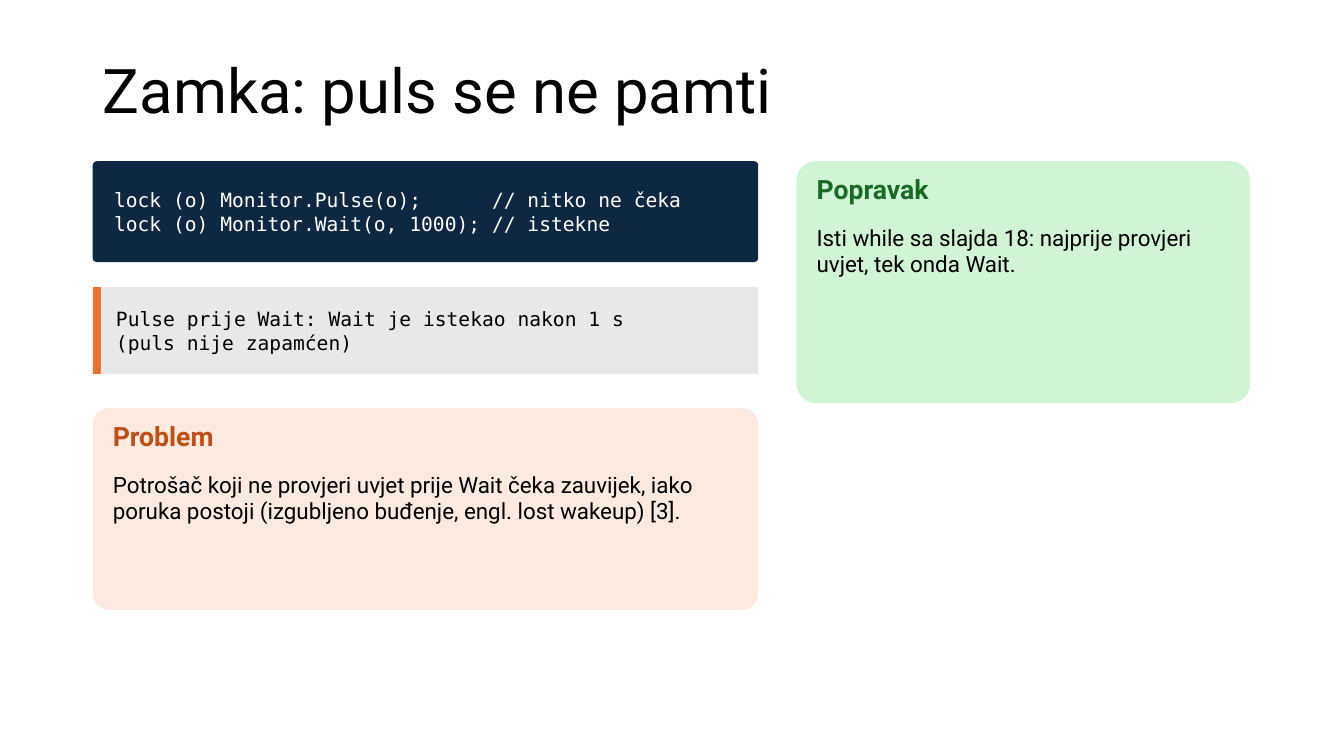
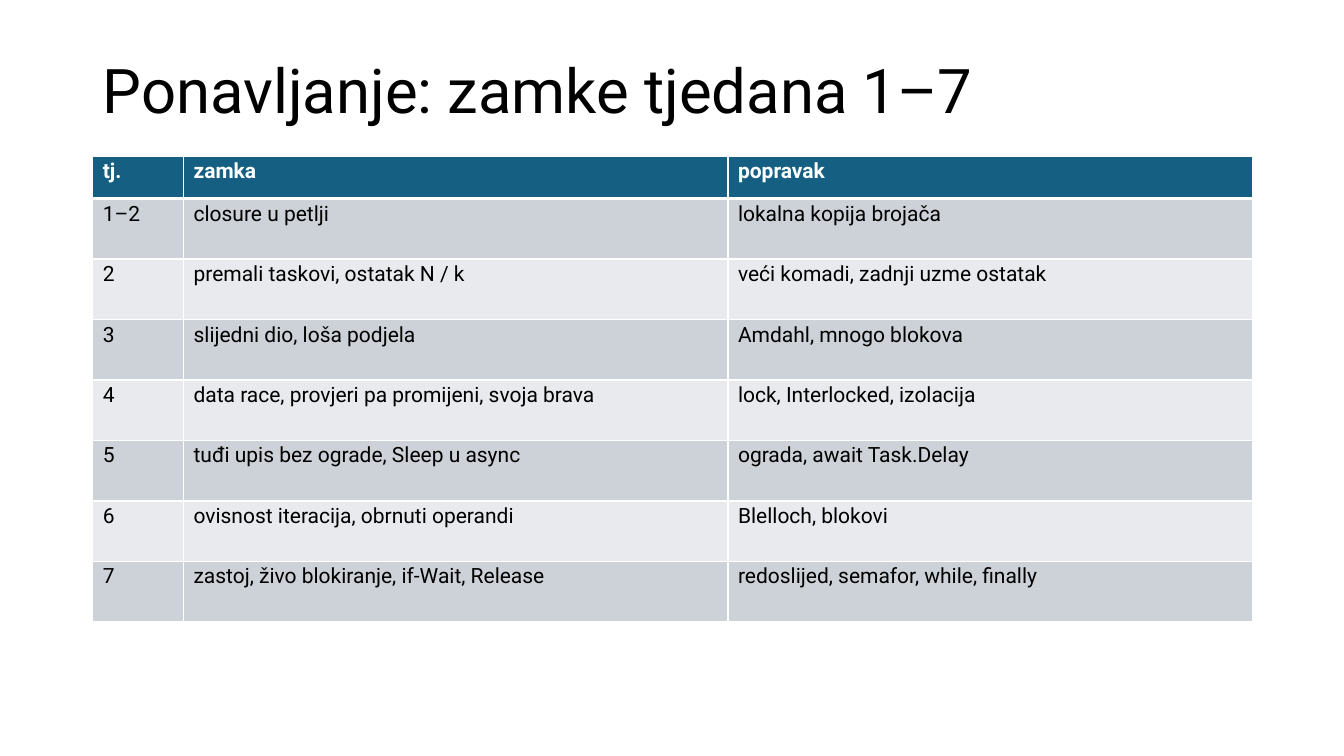
from dataclasses import dataclass
from typing import NamedTuple

from lxml.etree import SubElement
from pptx import Presentation
from pptx.dml.color import RGBColor
from pptx.enum.shapes import MSO_SHAPE as Preset
from pptx.enum.text import MSO_ANCHOR as Anchor, MSO_AUTO_SIZE as AutoSize
from pptx.oxml.ns import qn
from pptx.shapes.autoshape import Shape
from pptx.slide import Slide
from pptx.table import _Cell as Cell
from pptx.text.text import TextFrame
from pptx.util import Inches, Pt


@dataclass(frozen=True)
class Theme:
    font: str = "Roboto"
    code_font: str = "DejaVu Sans Mono"
    black: str = "000000"
    white: str = "FFFFFF"
    navy: str = "0E2841"
    orange: str = "E97132"
    grey: str = "E8E8E8"
    peach: str = "FCEAE0"
    rust: str = "C04F15"
    mint: str = "D1F4D6"
    green: str = "196B24"
    header: str = "156082"
    bands: tuple[str, str] = ("CCD2D8", "E8EAED")
    title_size: int = 44
    heading_size: int = 19
    body_size: int = 16
    table_size: int = 15
    code_size: int = 14


THEME = Theme()
LEFT, CONTENT_WIDTH = 0.92, 11.5


class Box(NamedTuple):
    left: float
    top: float
    width: float
    height: float

    def lengths(self) -> list[Inches]:
        return [Inches(value) for value in self]


class Style(NamedTuple):
    size: int
    color: str
    font: str = THEME.font
    bold: bool = False


class Card(NamedTuple):
    box: Box
    heading: str
    body: str
    fill: str
    accent: str


# Text and shape helpers
def write(frame: TextFrame, lines: list[str], style: Style) -> None:
    for index, line in enumerate(lines):
        paragraph = frame.paragraphs[0] if index == 0 else frame.add_paragraph()
        paragraph.text = line
        font = paragraph.font
        font.name, font.size, font.bold = style.font, Pt(style.size), style.bold
        font.color.rgb = RGBColor.from_string(style.color)


def set_margins(target: TextFrame | Cell, left: float, top: float, right: float) -> None:
    target.margin_left, target.margin_right = Inches(left), Inches(right)
    target.margin_top = target.margin_bottom = Inches(top)


def add_text(slide: Slide, box: Box, text: str, style: Style) -> TextFrame:
    frame = slide.shapes.add_textbox(*box.lengths()).text_frame
    frame.word_wrap = True
    write(frame, [text], style)
    return frame


def add_panel(slide: Slide, box: Box, fill: str, rounding: float = 0) -> Shape:
    preset = Preset.ROUNDED_RECTANGLE if rounding else Preset.RECTANGLE
    shape = slide.shapes.add_shape(preset, *box.lengths())
    if rounding:
        shape.adjustments[0] = rounding
    shape.shadow.inherit = False
    shape.fill.solid()
    shape.fill.fore_color.rgb = RGBColor.from_string(fill)
    shape.line.fill.background()
    return shape


def add_code(shape: Shape, lines: list[str], color: str, indent: float) -> None:
    frame = shape.text_frame
    frame.word_wrap = True
    frame.vertical_anchor = Anchor.MIDDLE
    set_margins(frame, indent, 0.05, 0.1)
    write(frame, lines, Style(THEME.code_size, color, THEME.code_font))
    for paragraph in frame.paragraphs:
        paragraph.alignment = 1  # left


def add_card(slide: Slide, card: Card) -> None:
    left, top, width, height = card.box
    add_panel(slide, card.box, card.fill, 0.08)
    inner_left, inner_width = left + 0.2, width - 0.4
    heading = add_text(slide, Box(inner_left, top + 0.12, inner_width, 0.45), card.heading,
                       Style(THEME.heading_size, card.accent, bold=True))
    body = add_text(slide, Box(inner_left, top + 0.62, inner_width, height - 0.7), card.body,
                    Style(THEME.body_size, THEME.black))
    body.paragraphs[0].space_after = Pt(4)
    for frame in (heading, body):
        set_margins(frame, 0, 0, 0)
        frame.auto_size = AutoSize.SHAPE_TO_FIT_TEXT


def add_titled_slide(presentation: Presentation, title: str) -> Slide:
    slide = presentation.slides.add_slide(presentation.slide_layouts[6])
    frame = add_text(slide, Box(LEFT, 0.4, CONTENT_WIDTH, 1.06), title,
                     Style(THEME.title_size, THEME.black))
    frame.vertical_anchor = Anchor.MIDDLE
    frame.paragraphs[0].line_spacing = 0.9
    return slide


# Table helpers
def add_borders(cell: Cell, bottom: int) -> None:
    properties = cell._tc.get_or_add_tcPr()
    for side, width in (("L", 1), ("R", 1), ("T", 1), ("B", bottom)):
        line = SubElement(properties, qn(f"a:ln{side}"), w=str(Pt(width)))
        fill = SubElement(line, qn("a:solidFill"))
        SubElement(fill, qn("a:srgbClr"), val=THEME.white)


def add_table(slide: Slide, top: float, widths: list[float], rows: list[list[str]]) -> None:
    heights = [0.42] + [0.6] * (len(rows) - 1)
    box = Box(LEFT, top, sum(widths), sum(heights))
    table = slide.shapes.add_table(len(rows), len(widths), *box.lengths()).table
    for column, width in zip(table.columns, widths):
        column.width = Inches(width)
    for index, (row, height, texts) in enumerate(zip(table.rows, heights, rows)):
        row.height = Inches(height)
        is_header = index == 0
        fill = THEME.header if is_header else THEME.bands[(index - 1) % 2]
        color = THEME.white if is_header else THEME.black
        for cell, text in zip(row.cells, texts):
            add_borders(cell, 3 if is_header else 1)
            cell.fill.solid()
            cell.fill.fore_color.rgb = RGBColor.from_string(fill)
            set_margins(cell, 0.1, 0.03, 0.1)
            write(cell.text_frame, [text], Style(THEME.table_size, color, bold=is_header))


# Slides
def build_pulse_slide(presentation: Presentation) -> None:
    slide = add_titled_slide(presentation, "Zamka: puls se ne pamti")
    column_width, bar_width = 6.6, 0.08

    code = add_panel(slide, Box(LEFT, 1.6, column_width, 1), THEME.navy, 0.04)
    add_code(code, ["lock (o) Monitor.Pulse(o);      // nitko ne čeka",
                    "lock (o) Monitor.Wait(o, 1000); // istekne"], THEME.white, 0.2)

    add_panel(slide, Box(LEFT, 2.85, bar_width, 0.86), THEME.orange)
    output = add_panel(slide, Box(LEFT + bar_width, 2.85, column_width - bar_width, 0.86),
                       THEME.grey)
    add_code(output, ["Pulse prije Wait: Wait je istekao nakon 1 s",
                      "(puls nije zapamćen)"], THEME.black, 0.15)

    cards = [
        Card(Box(LEFT, 4.05, column_width, 2), "Problem",
             "Potrošač koji ne provjeri uvjet prije Wait čeka zauvijek, iako poruka "
             "postoji (izgubljeno buđenje, engl. lost wakeup) [3].",
             THEME.peach, THEME.rust),
        Card(Box(7.9, 1.6, 4.5, 2.4), "Popravak",
             "Isti while sa slajda 18: najprije provjeri uvjet, tek onda Wait.",
             THEME.mint, THEME.green),
    ]
    for card in cards:
        add_card(slide, card)


def build_review_slide(presentation: Presentation) -> None:
    slide = add_titled_slide(presentation, "Ponavljanje: zamke tjedana 1–7")
    add_table(slide, 1.55, [0.9, 5.4, 5.2], [
        ["tj.", "zamka", "popravak"],
        ["1–2", "closure u petlji", "lokalna kopija brojača"],
        ["2", "premali taskovi, ostatak N / k", "veći komadi, zadnji uzme ostatak"],
        ["3", "slijedni dio, loša podjela", "Amdahl, mnogo blokova"],
        ["4", "data race, provjeri pa promijeni, svoja brava", "lock, Interlocked, izolacija"],
        ["5", "tuđi upis bez ograde, Sleep u async", "ograda, await Task.Delay"],
        ["6", "ovisnost iteracija, obrnuti operandi", "Blelloch, blokovi"],
        ["7", "zastoj, živo blokiranje, if-Wait, Release", "redoslijed, semafor, while, finally"],
    ])


def main() -> None:
    presentation = Presentation()
    presentation.slide_width, presentation.slide_height = Inches(13.33), Inches(7.5)
    build_pulse_slide(presentation)
    build_review_slide(presentation)
    presentation.save("out.pptx")


if __name__ == "__main__":
    main()
